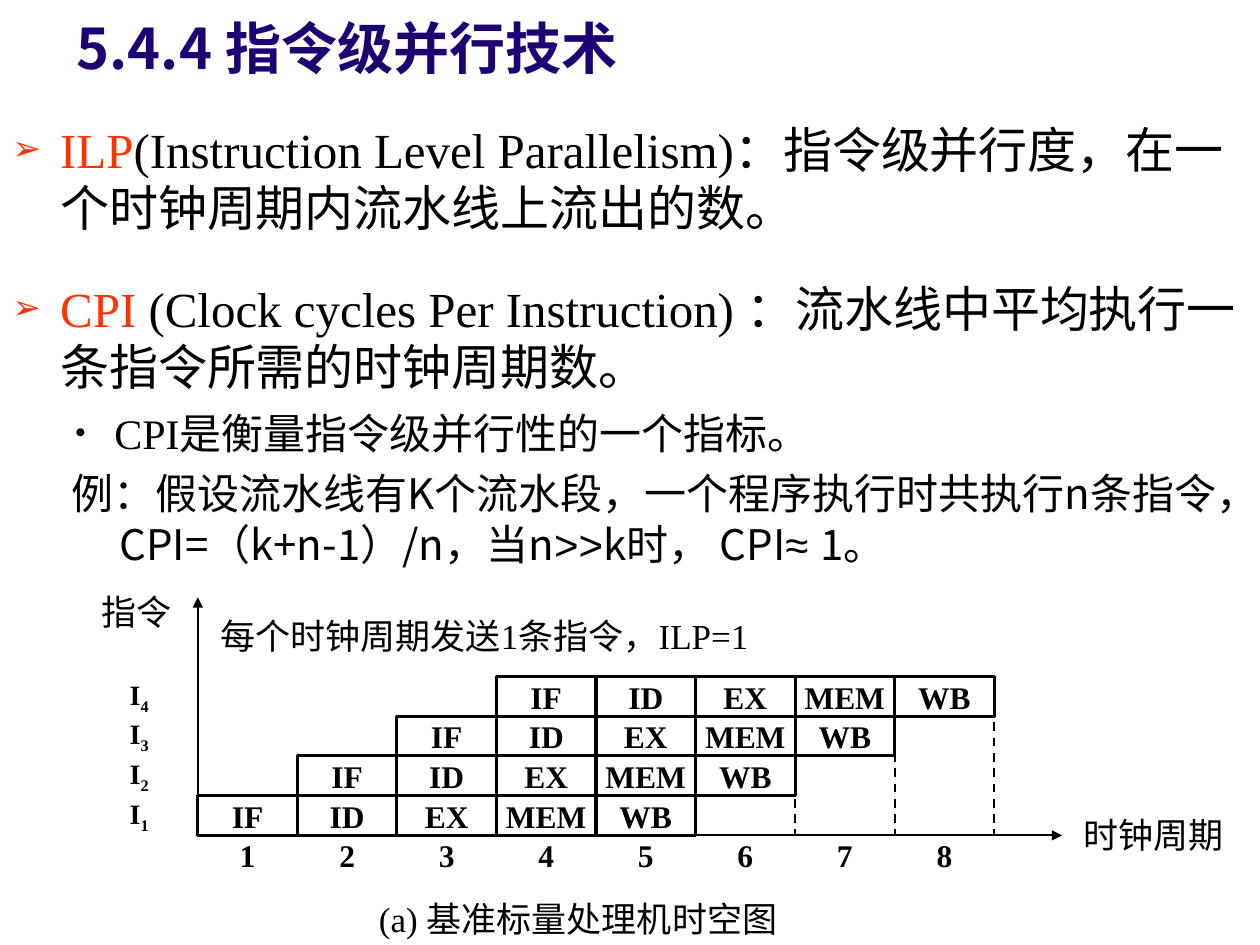
from pptx import Presentation
from pptx.dml.color import RGBColor as RGB
from pptx.enum.dml import MSO_LINE_DASH_STYLE as DASH
from pptx.enum.shapes import MSO_CONNECTOR as CONN, MSO_SHAPE as SHAPE
from pptx.enum.text import MSO_ANCHOR as ANCHOR, PP_ALIGN as ALIGN
from pptx.oxml.ns import qn
from pptx.util import Inches, Pt
from lxml.etree import SubElement as Sub

C = {"title": "1F0272", "accent": "FF3300", "ink": "000000", "paper": "FFFFFF"}
CJK, SERIF, SANS = "Noto Sans CJK SC", "Times New Roman", "Arial"

prs = Presentation()
prs.slide_width, prs.slide_height = Inches(10), Inches(7.5)
s = prs.slides.add_slide(prs.slide_layouts[6])


def add_runs(p, size, runs, bold=False):
    """Each run is (text, font, colour key)."""
    for text, font, color in runs:
        r = p.add_run()
        r.text = text
        r.font.size, r.font.bold, r.font.name = Pt(size), bold, font
        r.font.color.rgb = RGB.from_string(C[color])
        Sub(r.font._element, qn("a:ea")).set("typeface", CJK)


def add_line(x1, y1, x2, y2, dashed=False):
    ln = s.shapes.add_connector(CONN.STRAIGHT, Inches(x1), Inches(y1), Inches(x2), Inches(y2))
    ln.line.color.rgb, ln.line.width = RGB.from_string(C["ink"]), Pt(1.25)
    Sub(ln._element.spPr, qn("a:effectLst"))
    if dashed:
        ln.line.dash_style = DASH.DASH
    else:
        Sub(ln.line._get_or_add_ln(), qn("a:tailEnd")).set("type", "triangle")


# Title
sp = s.shapes.add_textbox(Inches(0.51), Inches(-0.05), Inches(9), Inches(0.85))
tf = sp.text_frame
tf.word_wrap, tf.vertical_anchor = True, ANCHOR.MIDDLE
add_runs(tf.paragraphs[0], 32, [("5.4.4 指令级并行技术", CJK, "title")], True)

# Body text: box, then paragraphs of (size, line pitch, margin, indent, bullet, bullet colour, runs)
bodies = [
    ((0, 0.9, 10, 1.1), [
        (28, 33.5, 0.38, -0.38, "➢", "accent", [
            ("ILP", SERIF, "accent"),
            ("(Instruction Level Parallelism)", SERIF, "ink"),
            ("：指令级并行度，在一个时钟周期内流水线上流出的数。", CJK, "ink")])]),
    ((0, 2.16, 10, 1.73), [
        (28, 33.5, 0.38, -0.38, "➢", "accent", [
            ("CPI", SERIF, "accent"),
            (" (Clock cycles Per Instruction) ", SERIF, "ink"),
            ("：流水线中平均执行一条指令所需的时钟周期数。", CJK, "ink")]),
        (24, 29.5, 0.81, -0.31, "•", "ink", [
            ("CPI是衡量", SERIF, "ink"),
            ("指令级并行性的一个指标。", CJK, "ink")])]),
    ((0.47, 3.65, 9.53, 1.02), [
        (24, 29.5, 0.38, -0.38, None, None, [
            ("例：假设流水线有K个流水段，一个程序执行时共执行n条指令，CPI=（k+n-1）/n，当n", CJK, "ink"),
            (">>", SANS, "ink"),
            ("k时， CPI", CJK, "ink"),
            ("≈ ", SANS, "ink"),
            ("1。", CJK, "ink")])]),
]
for box, paragraphs in bodies:
    tf = s.shapes.add_textbox(*map(Inches, box)).text_frame
    tf.word_wrap = True
    for i, (size, pitch, margin, indent, bullet, bullet_color, runs) in enumerate(paragraphs):
        p = tf.add_paragraph() if i else tf.paragraphs[0]
        p.line_spacing = Pt(pitch)
        if i:
            p.space_before, p.level = Pt(6), 1
        pPr = p._p.get_or_add_pPr()
        pPr.set("marL", str(Inches(margin)))
        pPr.set("indent", str(Inches(indent)))
        if bullet:
            Sub(Sub(pPr, qn("a:buClr")), qn("a:srgbClr")).set("val", C[bullet_color])
            Sub(pPr, qn("a:buSzPct")).set("val", "70000")
            Sub(pPr, qn("a:buFont")).set("typeface", SANS)
            Sub(pPr, qn("a:buChar")).set("char", bullet)
        add_runs(p, size, runs)

# Pipeline grid: column 0 starts at the vertical axis, row 0 is the top instruction
LEFT, TOP, COL, ROW = 1.57, 5.37, 0.79, 1.26 / 4
STAGES = ["IF", "ID", "EX", "MEM", "WB"]
ROWS, CYCLES = 4, 8
BASE = TOP + ROWS * ROW

# Boxes as (column, row, text, subscript, size, outline colour, outline width)
boxes = [(n, ROWS, str(n + 1), "", 18, None, 0) for n in range(CYCLES)]
for row in reversed(range(ROWS)):
    start = ROWS - 1 - row
    boxes += [(start + k, row, stage, "", 18, "ink", 1.75) for k, stage in enumerate(STAGES)]
boxes += [(-1.09, row, "I", str(ROWS - row), 16, "paper", 1.25) for row in range(ROWS)]

for col, row, text, subscript, size, outline, width in boxes:
    sp = s.shapes.add_shape(SHAPE.RECTANGLE, Inches(LEFT + col * COL), Inches(TOP + row * ROW),
                            Inches(COL), Inches(ROW))
    sp.shadow.inherit = False
    sp.fill.solid()
    sp.fill.fore_color.rgb = RGB.from_string(C["paper"])
    if outline:
        sp.line.color.rgb, sp.line.width = RGB.from_string(C[outline]), Pt(width)
    else:
        sp.line.fill.background()
    tf = sp.text_frame
    tf.word_wrap, tf.vertical_anchor = False, ANCHOR.MIDDLE
    p = tf.paragraphs[0]
    p.alignment = ALIGN.CENTER
    add_runs(p, size, [(text, SERIF, "ink")], True)
    if subscript:
        add_runs(p, size, [(subscript, SERIF, "ink")], True)
        p.runs[-1].font._element.set("baseline", "-25000")

# Dashed guides under the last cycles
for col in (6, 7, 8):
    add_line(LEFT + col * COL, TOP, LEFT + col * COL, BASE, dashed=True)

# Axes
add_line(LEFT, BASE, LEFT, 4.74)
add_line(LEFT, BASE, 8.43, BASE)

# Axis names, remark and caption
labels = [
    (2.91, 7.07, 3.86, "(a) 基准标量处理机时空图"),
    (0.71, 4.63, 0.79, "指令"),
    (8.5, 6.4, 1.5, "时钟周期"),
    (1.65, 4.82, 5.04, "每个时钟周期发送1条指令，ILP=1"),
]
for x, y, w, text in labels:
    tf = s.shapes.add_textbox(Inches(x), Inches(y), Inches(w), Inches(0.44)).text_frame
    tf.word_wrap = True
    p = tf.paragraphs[0]
    p.line_spacing = Pt(24.5)
    add_runs(p, 20, [(text, SERIF, "ink")])

prs.save("out.pptx")
